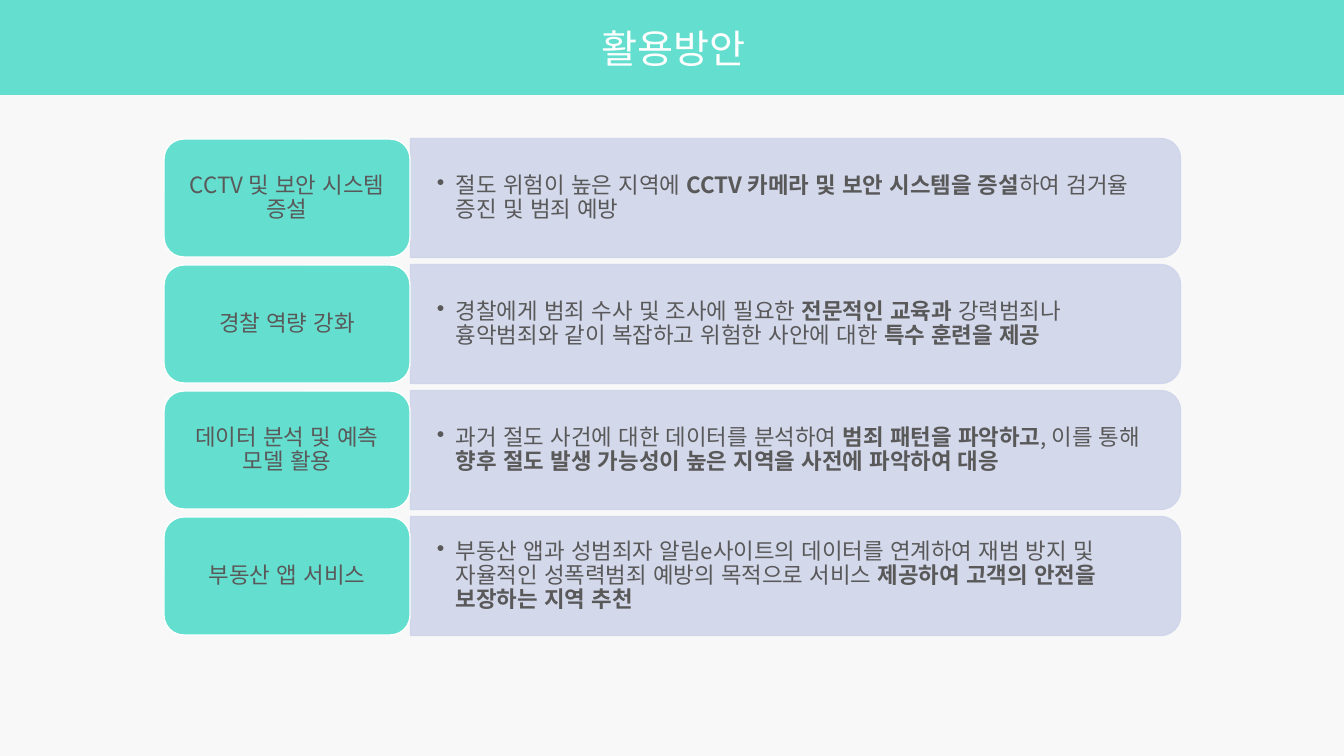
from lxml import etree
from pptx import Presentation
from pptx.dml.color import RGBColor
from pptx.enum.shapes import MSO_SHAPE
from pptx.enum.text import MSO_ANCHOR, PP_ALIGN
from pptx.oxml.ns import qn
from pptx.util import Pt

RECT = MSO_SHAPE.RECTANGLE
ROUND = MSO_SHAPE.ROUNDED_RECTANGLE
ROUND_TOP = MSO_SHAPE.ROUND_2_SAME_RECTANGLE
MIDDLE = MSO_ANCHOR.MIDDLE
CENTER, LEFT = PP_ALIGN.CENTER, PP_ALIGN.LEFT

THEME = {
    "font": "Noto Sans CJK KR",
    "background": RGBColor.from_string("F8F8F8"),
    "accent": RGBColor.from_string("64DECF"),
    "panel": RGBColor.from_string("CFD5EA"),
    "white": RGBColor.from_string("FFFFFF"),
    "text": RGBColor.from_string("595959"),
    "title_size": Pt(28),
    "body_size": Pt(16),
}
EMU_PER_PX = 914400 / 100.8
ROW_TOP, ROW_PITCH = 139, 126
PANEL_W, PANEL_H = 770, 119
PANEL_OPACITY = "90000"

ROWS = [
    ("CCTV 및 보안 시스템 증설", [
        ("절도 위험이 높은 지역에 ", False),
        ("CCTV 카메라 및 보안 시스템을 증설", True),
        ("하여 검거율 증진 및 범죄 예방", False)]),
    ("경찰 역량 강화", [
        ("경찰에게 범죄 수사 및 조사에 필요한 ", False),
        ("전문적인 교육과 ", True),
        ("강력범죄나 흉악범죄와 같이 복잡하고 위험한 사안에 대한 ", False),
        ("특수 훈련을 제공", True)]),
    ("데이터 분석 및 예측 모델 활용", [
        ("과거 절도 사건에 대한 데이터를 분석하여 ", False),
        ("범죄 패턴을 파악하고", True),
        (", 이를 통해 ", False),
        ("향후 절도 발생 가능성이 높은 지역을 사전에 파악하여 대응", True)]),
    ("부동산 앱 서비스", [
        ("부동산 앱과 성범죄자 알림e사이트의 데이터를 연계하여 재범 방지 및 "
         "자율적인 성폭력범죄 예방의 목적으로 서비스 ", False),
        ("제공하여 고객의 안전을 보장하는 지역 추천", True)]),
]


def px(*values):
    return [round(v * EMU_PER_PX) for v in values]


def write(sp, runs, size, color, align, insets):
    tf = sp.text_frame
    tf.word_wrap = True
    tf.vertical_anchor = MIDDLE
    tf.margin_left = tf.margin_right = px(insets[0])[0]
    tf.margin_top = tf.margin_bottom = px(insets[1])[0]
    p = tf.paragraphs[0]
    p.alignment = align
    for text, bold in runs:
        r = p.add_run()
        r.text = text
        r.font.name = THEME["font"]
        r.font.size = size
        r.font.bold = bold
        r.font.color.rgb = color
        rPr = r.font._element
        rPr.set("lang", "ko-KR")
        etree.SubElement(rPr, qn("a:ea"), typeface=THEME["font"])
    return p


prs = Presentation()
prs.slide_width, prs.slide_height = px(1344, 756)
s = prs.slides.add_slide(prs.slide_layouts[6])
s.background.fill.solid()
s.background.fill.fore_color.rgb = THEME["background"]

banner = s.shapes.add_shape(RECT, *px(0, 0, 1347, 95))
banner.shadow.inherit = False
banner.fill.solid()
banner.fill.fore_color.rgb = THEME["accent"]
banner.line.fill.background()
write(banner, [("활용방안", False)], THEME["title_size"], THEME["white"], CENTER, (10, 5))

for i, (label_text, runs) in enumerate(ROWS):
    top = ROW_TOP + i * ROW_PITCH
    middle = top + PANEL_H // 2

    panel = s.shapes.add_shape(ROUND_TOP, *px(736, middle - PANEL_W // 2, PANEL_H, PANEL_W))
    panel.rotation = 90
    panel.shadow.inherit = False
    panel.line.width = Pt(1)
    panel.fill.solid()
    panel.line.fill.solid()
    for paint in (panel.fill, panel.line.fill):
        paint.fore_color.rgb = THEME["panel"]
    for clr in panel._element.spPr.iter(qn("a:srgbClr")):
        etree.SubElement(clr, qn("a:alpha"), val=PANEL_OPACITY)

    detail = s.shapes.add_textbox(*px(410, top + 6, 763, 107))
    p = write(detail, runs, THEME["body_size"], THEME["text"], LEFT, (27, 14))
    p.level = 1
    p.line_spacing = 0.9
    p.space_after = Pt(2)
    indent = px(19)[0]
    pPr = p._p.get_or_add_pPr()
    pPr.set("marL", str(indent))
    pPr.set("indent", str(-indent))
    etree.SubElement(pPr, qn("a:buChar"), char="•")

    label = s.shapes.add_shape(ROUND, *px(164, top, 246, 118))
    label.shadow.inherit = False
    label.fill.solid()
    label.fill.fore_color.rgb = THEME["accent"]
    label.line.color.rgb = THEME["white"]
    label.line.width = Pt(1)
    p = write(label, [(label_text, False)], THEME["body_size"], THEME["text"], CENTER, (7, 3))
    p.line_spacing = 0.9
    p.space_after = Pt(6)

prs.save("out.pptx")
